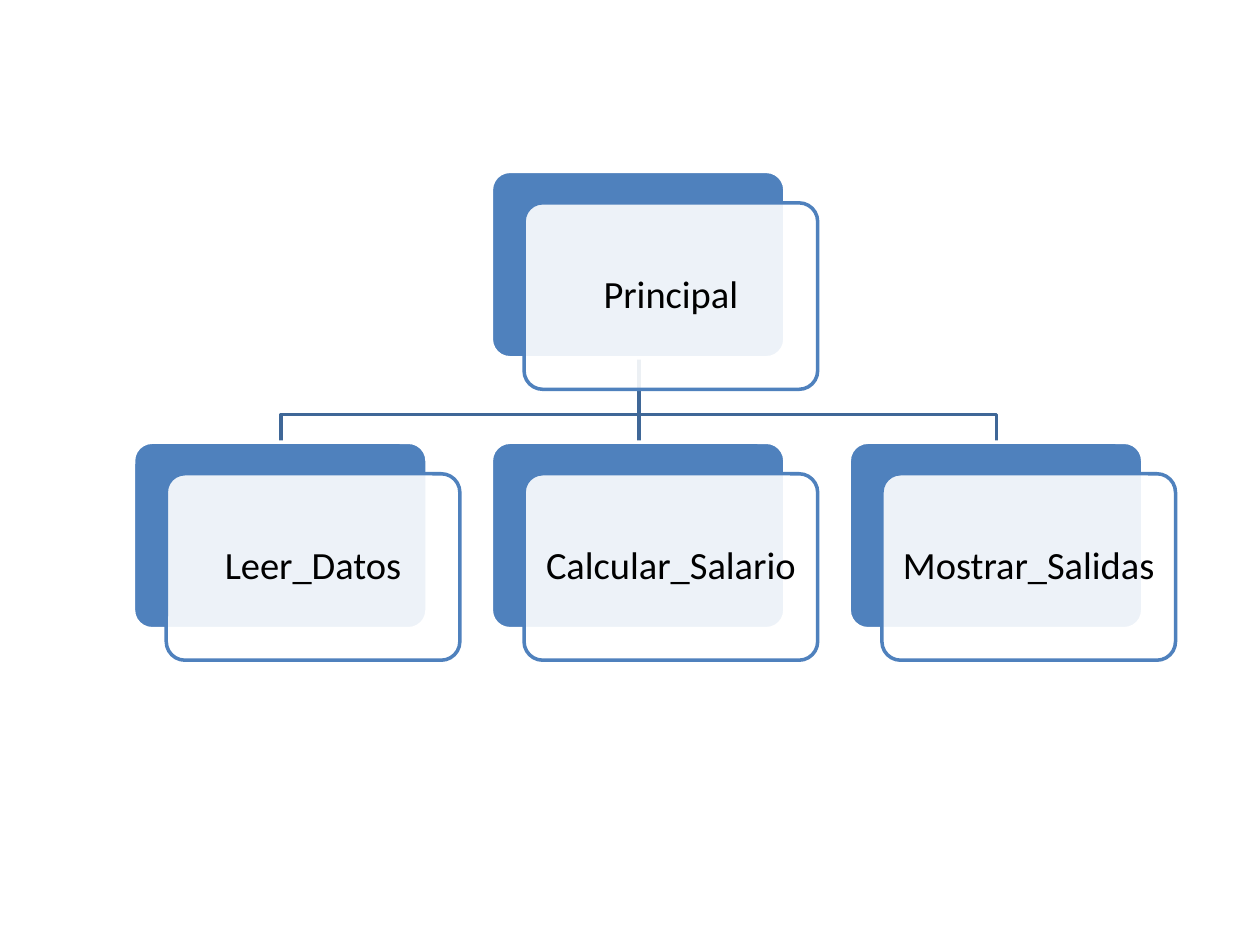
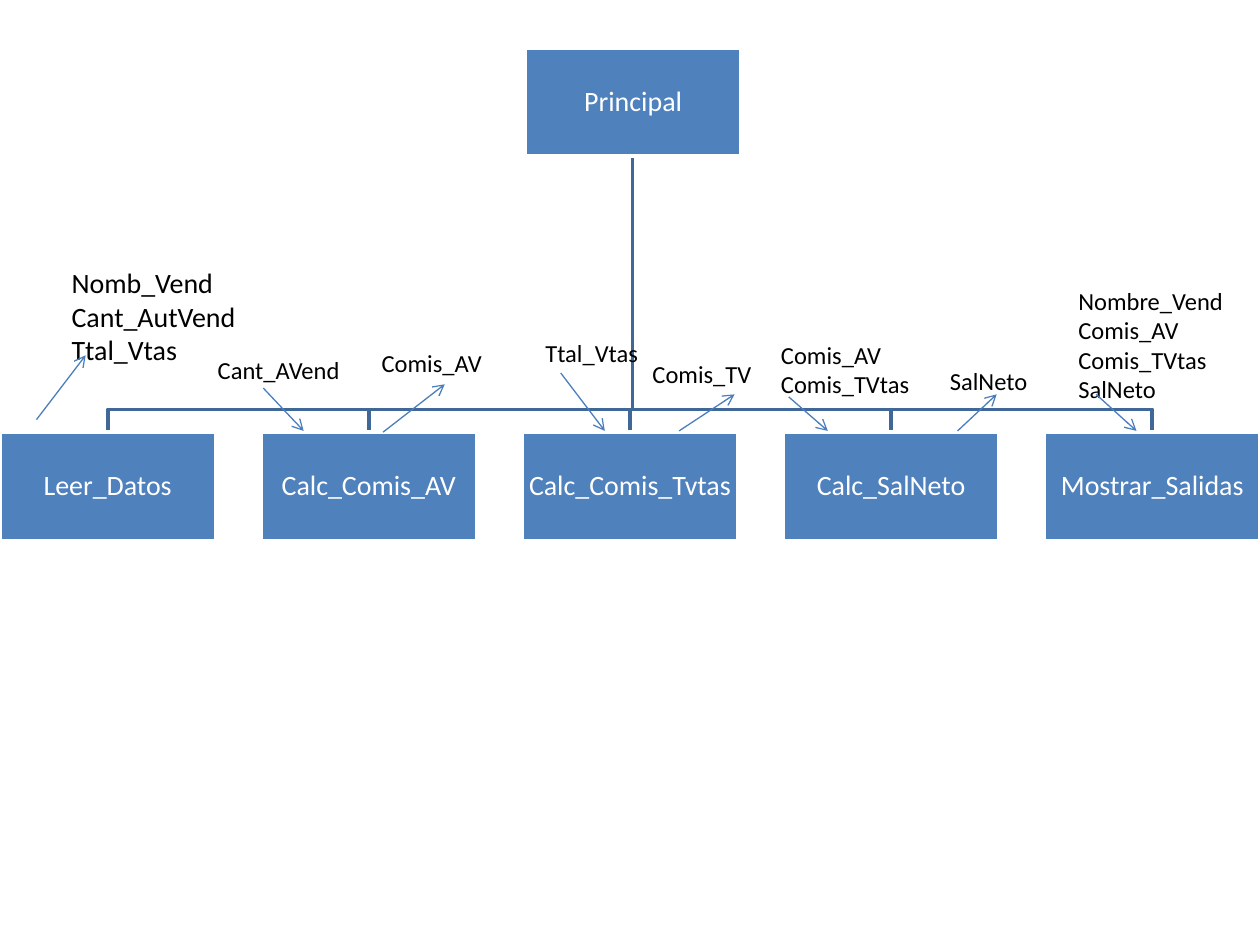
from pptx import Presentation
from pptx.dml.color import RGBColor
from pptx.enum.shapes import MSO_CONNECTOR as CONN, MSO_SHAPE as SHAPE
from pptx.enum.text import MSO_ANCHOR as ANCHOR, MSO_AUTO_SIZE as FIT, PP_ALIGN as ALIGN
from pptx.oxml.ns import qn
from pptx.util import Inches, Pt
from lxml.etree import SubElement as Sub

BLUE = RGBColor(0x4F, 0x81, 0xBD)
DARK = RGBColor(0x3F, 0x67, 0x97)
ARROW = RGBColor(0x4B, 0x7E, 0xBC)
WHITE = RGBColor(0xFF, 0xFF, 0xFF)
BLACK = RGBColor(0, 0, 0)
FONT = "Calibri"


def box(slide, kind, rect, fill, edge, text="", size=16, color=WHITE, inset=0.01):
    shape = slide.shapes.add_shape(kind, *map(Inches, rect))
    shape.shadow.inherit = False
    shape.fill.solid()
    shape.fill.fore_color.rgb = fill
    shape.line.color.rgb = edge
    shape.line.width = Pt(2)
    if kind == SHAPE.ROUNDED_RECTANGLE:
        shape.adjustments[0] = 0.1
    if text:
        frame = shape.text_frame
        frame.word_wrap = True
        frame.vertical_anchor = ANCHOR.MIDDLE
        frame.margin_left = frame.margin_right = Inches(inset)
        frame.margin_top = frame.margin_bottom = Inches(inset)
        para = frame.paragraphs[0]
        para.text = text
        para.alignment = ALIGN.CENTER
        para.line_spacing = 0.9
        para.font.name, para.font.size = FONT, Pt(size)
        para.font.color.rgb = color
    return shape


def link(slide, points, color=DARK, width=2):
    """Draw a straight line through two points, or a bent one through more."""
    first, *rest = [(Inches(x), Inches(y)) for x, y in points]
    if len(rest) == 1:
        line = slide.shapes.add_connector(CONN.STRAIGHT, *first, *rest[0])
    else:
        path = slide.shapes.build_freeform(*first)
        path.add_line_segments(rest, close=False)
        line = path.convert_to_shape()
        line.fill.background()
    line.line.color.rgb = color
    line.line.width = Pt(width)
    Sub(line.element.spPr, qn("a:effectLst"))
    return line


deck = Presentation()
deck.slide_width, deck.slide_height = Inches(10), Inches(7.5)
blank = deck.slide_layouts[6]

# Slide 1: main module and three submodules on layered cards
slide = deck.slides.add_slide(blank)
hub, left, step = 5.07, 3.9, 2.84
top, bar, low = 2.83, 3.29, 3.51
link(slide, [(hub, top), (hub, bar), (hub + step, bar), (hub + step, low)])
link(slide, [(hub, top), (hub, low)])
link(slide, [(hub, top), (hub, bar), (hub - step, bar), (hub - step, low)])

cards = [
    ("Principal", left, 1.36),
    ("Leer_Datos", left - step, low),
    ("Calcular_Salario", left, low),
    ("Mostrar_Salidas", left + step, low),
]
for name, x, y in cards:
    card = SHAPE.ROUNDED_RECTANGLE
    box(slide, card, (x, y, 2.33, 1.48), BLUE, WHITE)
    front = box(slide, card, (x + 0.26, y + 0.25, 2.33, 1.48), WHITE, BLUE,
                name, 22, BLACK, 0.09)
    tint = front.element.spPr.find(qn("a:solidFill"))[0]
    Sub(tint, qn("a:alpha"), val="90000")

# Slide 2: five submodules with the data passed in and out
slide = deck.slides.add_slide(blank)
hub, top, bar, low = 5.02, 1.24, 3.25, 3.43
wide, high = 1.71, 0.86
names = ["Leer_Datos", "Calc_Comis_AV", "Calc_Comis_Tvtas", "Calc_SalNeto", "Mostrar_Salidas"]
step = (10 - wide) / (len(names) - 1)
for i in reversed(range(len(names))):
    mid = i * step + wide / 2
    link(slide, [(hub, top), (hub, bar), (mid, bar), (mid, low)])
box(slide, SHAPE.RECTANGLE, (4.17, 0.38, wide, high), BLUE, WHITE, "Principal")
for i, name in enumerate(names):
    box(slide, SHAPE.RECTANGLE, (i * step, low, wide, high), BLUE, WHITE, name)

# Each flow: label lines, label box, font size, arrow start and end
flows = [
    (["Nomb_Vend", "Cant_AutVend", "Ttal_Vtas"], (0.47, 2.06, 1.52, 0.91), 16,
     (0.29, 3.33), (0.68, 2.82)),
    (["Cant_AVend"], (1.63, 2.77, 1.24, 0.34), 14, (2.09, 3.08), (2.41, 3.42)),
    (["Comis_AV"], (2.93, 2.71, 1.21, 0.34), 14, (3.04, 3.43), (3.53, 3.05)),
    (["Comis_TV"], (5.08, 2.8, 1.5, 0.34), 14, (5.39, 3.42), (5.83, 3.13)),
    (["Ttal_Vtas"], (4.23, 2.63, 1.14, 0.34), 14, (4.45, 2.96), (4.8, 3.42)),
    (["Comis_AV", "Comis_TVtas"], (6.1, 2.65, 1.34, 0.57), 14, (6.26, 3.15), (6.57, 3.42)),
    (["SalNeto"], (7.44, 2.86, 1.26, 0.34), 14, (7.6, 3.42), (7.91, 3.13)),
    (["Nombre_Vend", "Comis_AV", "Comis_TVtas", "SalNeto"], (8.46, 2.22, 1.54, 1.04), 14,
     (8.7, 3.13), (9.02, 3.42)),
]
for words, rect, size, start, end in flows:
    frame = slide.shapes.add_textbox(*map(Inches, rect)).text_frame
    frame.word_wrap = True
    frame.auto_size = FIT.SHAPE_TO_FIT_TEXT
    frame.text = "\n".join(words)
    for para in frame.paragraphs:
        para.font.name, para.font.size = FONT, Pt(size)
        para.font.color.rgb = BLACK
    arrow = link(slide, [start, end], ARROW, 0.75)
    Sub(arrow.element.spPr.find(qn("a:ln")), qn("a:tailEnd"), type="arrow")

deck.save("out.pptx")
